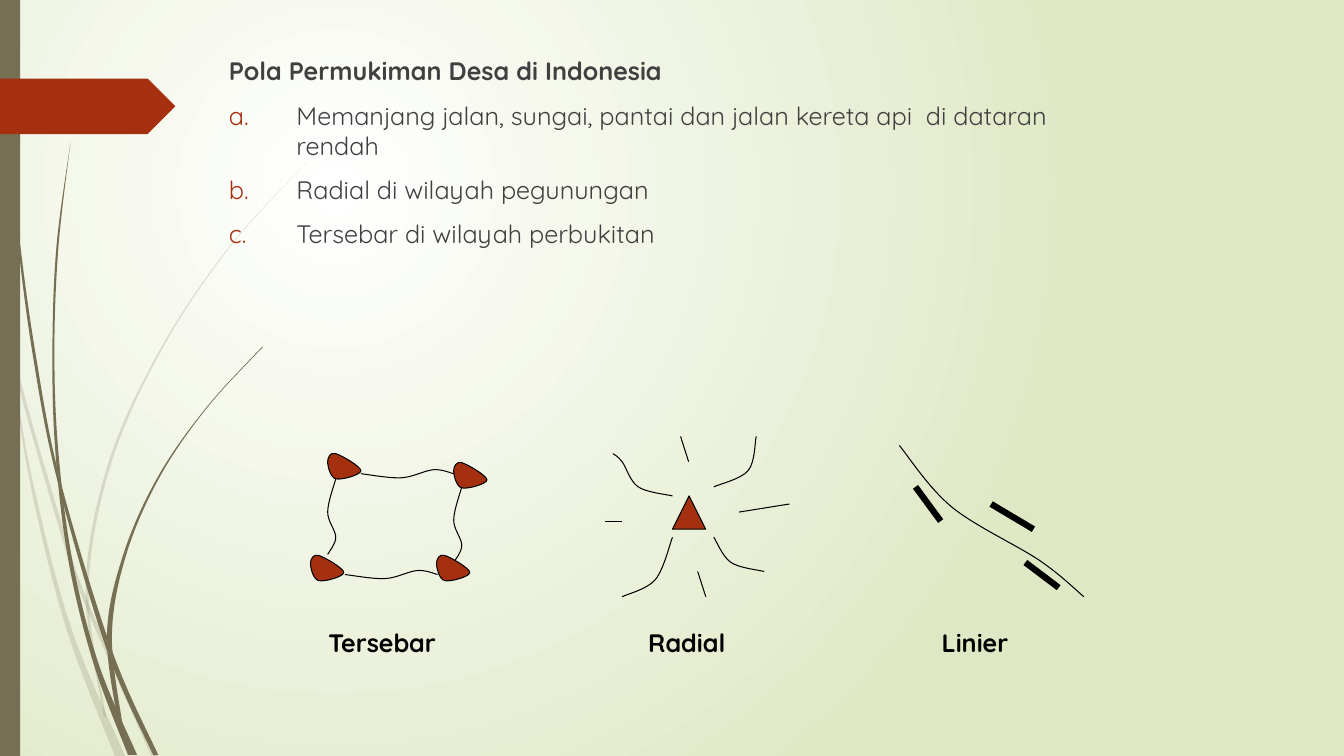
from dataclasses import dataclass

from lxml.etree import SubElement
from pptx import Presentation
from pptx.dml.color import RGBColor as RGB
from pptx.enum.shapes import MSO_CONNECTOR as Connector, MSO_SHAPE as Shape
from pptx.enum.text import MSO_ANCHOR as Anchor, MSO_AUTO_SIZE as AutoSize, PP_ALIGN as Align
from pptx.oxml.ns import qn
from pptx.util import Cm, Pt


@dataclass(frozen=True)
class Theme:
    font: str = "Quicksand"
    size: float = 18
    thin: float = 0.75
    thick: float = 4.5
    accent: str = "A53010"
    stem: str = "766F54"
    body: str = "404040"
    ink: str = "000000"
    glow: str = "FFFFFF"
    edge: str = "DFE8C4"


THEME = Theme()

# All positions below are in inches; span() turns them into lengths.
HEADING = "Pola Permukiman Desa di Indonesia"
PATTERNS = [
    "Memanjang jalan, sungai, pantai dan jalan kereta api  di dataran rendah",
    "Radial di wilayah pegunungan",
    "Tersebar di wilayah perbukitan",
]
LABELS = [  # text, left, width, alignment
    ("Tersebar", 2.83, 1.92, Align.CENTER),
    ("Radial", 6.33, 1.75, Align.LEFT),
    ("Linier", 9.17, 1, Align.CENTER),
]

# Grass blades: (left edge, y, right edge) from tip to root
PALE_BLADES = [
    [(0, 2.82, 0.01), (0.17, 3.76, 0.2), (0.58, 5.22, 0.62), (0.84, 5.99, 0.88), (1.5, 7.5, 1.55)],
    [(0.11, 3.5, 0.11), (0.28, 4.7, 0.31), (0.65, 6.21, 0.7), (1.14, 7.5, 1.24)],
    [(3.12, 1.53, 3.12), (2.28, 2.44, 2.29), (1.58, 3.48, 1.6), (1.07, 4.61, 1.1),
     (0.85, 5.84, 0.88), (1.03, 7.11, 1.05)],
]
DARK_BLADES = [
    [(0.03, 0, 0.04), (0.07, 1.1, 0.08), (0.17, 2.33, 0.19), (0.33, 3.55, 0.36), (0.57, 4.77, 0.6),
     (1.06, 6.45, 1.11), (1.52, 7.49, 1.57)],
    [(0.7, 1.41, 0.7), (0.56, 2.45, 0.58), (0.52, 3.49, 0.54), (0.55, 4.49, 0.58),
     (0.68, 5.57, 0.72), (0.93, 6.59, 0.98), (1.27, 7.49, 1.36)],
    [(2.6, 3.44, 2.61), (2.04, 4.05, 2.05), (1.56, 4.74, 1.58), (1.22, 5.51, 1.25),
     (1.06, 6.31, 1.11), (1.18, 7.22, 1.22)],
]

# Scattered pattern: outlines relative to their own starting corner
HOUSE = [(0, 0.09), (0.08, 0.26), (0.33, 0.18), (0.08, 0.01), (0, 0.09)]
HOUSE_SPOTS = [(3.25, 4.49), (4.5, 4.58), (3.08, 5.5), (4.33, 5.5)]
ACROSS = [(0, 0), (0.4, 0.04), (0.72, -0.04), (0.92, 0)]
ACROSS_SPOTS = [(3.58, 4.7), (3.42, 5.7)]
DOWN = [(0, 0), (-0.08, 0.33), (0, 0.58), (-0.08, 0.75)]
DOWN_SPOTS = [(3.33, 4.75), (4.58, 4.83)]

# Radial and linear patterns
PEAK = (6.67, 4.92, 0.33, 0.33)
ROADS = [
    [(6.17, 5.92), (6.5, 5.75), (6.67, 5.33)],
    [(7.58, 5.67), (7.25, 5.58), (7.08, 5.33)],
    [(7.5, 4.33), (7.42, 4.67), (7.08, 4.83)],
    [(6.08, 4.5), (6.17, 4.58), (6.33, 4.83), (6.67, 4.92)],
    [(8.92, 4.42), (9.44, 5.03), (10.31, 5.56), (10.75, 5.92)],
]
RAYS = [(6, 5.17, 6.17, 5.17), (6.75, 4.33, 6.83, 4.58), (7, 5.92, 6.92, 5.67), (7.83, 5, 7.33, 5.08)]
SETTLEMENTS = [(9.08, 4.83, 9.33, 5.17), (9.83, 5, 10.25, 5.25), (10.17, 5.58, 10.5, 5.83)]


def span(inches):
    return Cm(inches * 2.54)


def spans(values):
    return [span(value) for value in values]


def curve_handles(edge):
    """Two Bezier handles for each step of a smooth curve through the edge's knots."""
    closed = edge[0] == edge[-1]
    before = edge[-2] if closed else edge[0]
    after = edge[1] if closed else edge[-1]
    ring = [before, *edge, after]
    return [
        ((b[0] + (c[0] - a[0]) / 6, b[1] + (c[1] - a[1]) / 6),
         (c[0] - (d[0] - b[0]) / 6, c[1] - (d[1] - b[1]) / 6))
        for a, b, c, d in zip(ring, ring[1:], ring[2:], ring[3:])
    ]


def shifted(outline, spot):
    return [(x + spot[0], y + spot[1]) for x, y in outline]


def paint(shape, fill=None, line=None):
    shape.shadow.inherit = False
    if fill:
        shape.fill.solid()
        shape.fill.fore_color.rgb = RGB.from_string(fill)
    else:
        shape.fill.background()
    if line:
        shape.line.color.rgb = RGB.from_string(line)
        shape.line.width = Pt(THEME.thin)
    else:
        shape.line.fill.background()


def draw(shapes, *edges, fill=None, line=None):
    """Draw smooth edges, joined to each other by straight lines."""
    knots, handles = [], []
    for edge in edges:
        knots += edge
        handles += [*curve_handles(edge), None]
    builder = shapes.build_freeform(*spans(knots[0]), scale=1.0)
    builder.add_line_segments([spans(knot) for knot in knots[1:]], close=bool(fill))
    outline = builder.convert_to_shape()
    left, top = min(x for x, _ in knots), min(y for _, y in knots)
    for segment, pair in zip(list(outline.element.iter(qn("a:lnTo"))), handles):
        if pair:
            end = segment[0]
            segment.tag = qn("a:cubicBezTo")
            for x, y in pair:
                SubElement(segment, qn("a:pt"), x=str(span(x - left)), y=str(span(y - top)))
            segment.append(end)
    paint(outline, fill, line)
    return outline


def draw_blade(shapes, blade):
    left = [(x, y) for x, y, _ in blade]
    right = [(x, y) for _, y, x in reversed(blade)]
    return draw(shapes, left, right, fill=THEME.stem)


def draw_stroke(shapes, ends, width):
    stroke = shapes.add_connector(Connector.STRAIGHT, *spans(ends))
    stroke.line.color.rgb = RGB.from_string(THEME.ink)
    stroke.line.width = Pt(width)
    SubElement(stroke.element.spPr, qn("a:effectLst"))


def place(holder, left, top, width, height):
    holder.left, holder.top, holder.width, holder.height = spans((left, top, width, height))
    frame = holder.text_frame
    frame.word_wrap = True
    frame.auto_size = AutoSize.NONE
    frame.vertical_anchor = Anchor.TOP


def style(paragraph, color, bold=False, align=Align.LEFT):
    paragraph.alignment = align
    for run in paragraph.runs:
        run.font.name, run.font.size, run.font.bold = THEME.font, Pt(THEME.size), bold
        run.font.color.rgb = RGB.from_string(color)


def letter_bullet(paragraph):
    props = paragraph._p.get_or_add_pPr()
    props.set("marL", str(span(0.67)))
    props.set("indent", str(-span(0.67)))
    SubElement(SubElement(props, qn("a:buClr")), qn("a:srgbClr"), val=THEME.accent)
    SubElement(props, qn("a:buFont"), typeface=THEME.font)
    SubElement(props, qn("a:buAutoNum"), type="alphaLcPeriod")


def paint_background(slide):
    fill = slide.background.fill
    fill.gradient()
    for stop, color in zip(fill.gradient_stops, (THEME.glow, THEME.edge)):
        stop.color.rgb = RGB.from_string(color)
    gradient = slide.element.find(".//" + qn("a:gradFill"))
    gradient.remove(gradient.find(qn("a:lin")))
    circle = SubElement(gradient, qn("a:path"))
    circle.set("path", "circle")
    SubElement(circle, qn("a:fillToRect"), l="50000", t="50000", r="100000", b="100000")


def add_decor(shapes):
    for blade in PALE_BLADES:
        color = draw_blade(shapes, blade).element.find(".//" + qn("a:srgbClr"))
        SubElement(color, qn("a:alpha"), val="20000")
    for blade in DARK_BLADES:
        draw_blade(shapes, blade)
    paint(shapes.add_shape(Shape.RECTANGLE, *spans((0, 0, 0.2, 7.5))), THEME.stem)
    paint(shapes.add_shape(Shape.PENTAGON, *spans((0, 0.78, 1.74, 0.55))), THEME.accent)


def add_texts(shapes):
    title, body = shapes.title, shapes.placeholders[1]
    for holder in (title, body):  # bring the text in front of the grass
        shapes.element.append(holder.element)
    place(title, 2.17, 0.5, 9, 0.44)
    title.text_frame.text = HEADING
    style(title.text_frame.paragraphs[0], THEME.body, bold=True)
    place(body, 2.17, 0.94, 9, 2)
    body.text_frame.text = "\n".join(PATTERNS)
    for paragraph in body.text_frame.paragraphs:
        style(paragraph, THEME.body)
        paragraph.space_before = Pt(10)
        letter_bullet(paragraph)


def add_diagrams(shapes):
    for outline, spots in ((ACROSS, ACROSS_SPOTS), (DOWN, DOWN_SPOTS)):
        for spot in spots:
            draw(shapes, shifted(outline, spot), line=THEME.ink)
    for spot in HOUSE_SPOTS:
        draw(shapes, shifted(HOUSE, spot), fill=THEME.accent, line=THEME.ink)
    paint(shapes.add_shape(Shape.ISOSCELES_TRIANGLE, *spans(PEAK)), THEME.accent, THEME.ink)
    for road in ROADS:
        draw(shapes, road, line=THEME.ink)
    for strokes, width in ((RAYS, THEME.thin), (SETTLEMENTS, THEME.thick)):
        for ends in strokes:
            draw_stroke(shapes, ends, width)
    for text, left, width, align in LABELS:
        label = shapes.add_textbox(*spans((left, 6.17, width, 0.4)))
        label.text_frame.word_wrap = True
        label.text_frame.text = text
        style(label.text_frame.paragraphs[0], THEME.ink, bold=True, align=align)


def main():
    deck = Presentation()
    deck.slide_width, deck.slide_height = spans((13.33, 7.5))
    slide = deck.slides.add_slide(deck.slide_layouts[1])
    paint_background(slide)
    add_decor(slide.shapes)
    add_texts(slide.shapes)
    add_diagrams(slide.shapes)
    deck.save("out.pptx")


if __name__ == "__main__":
    main()
